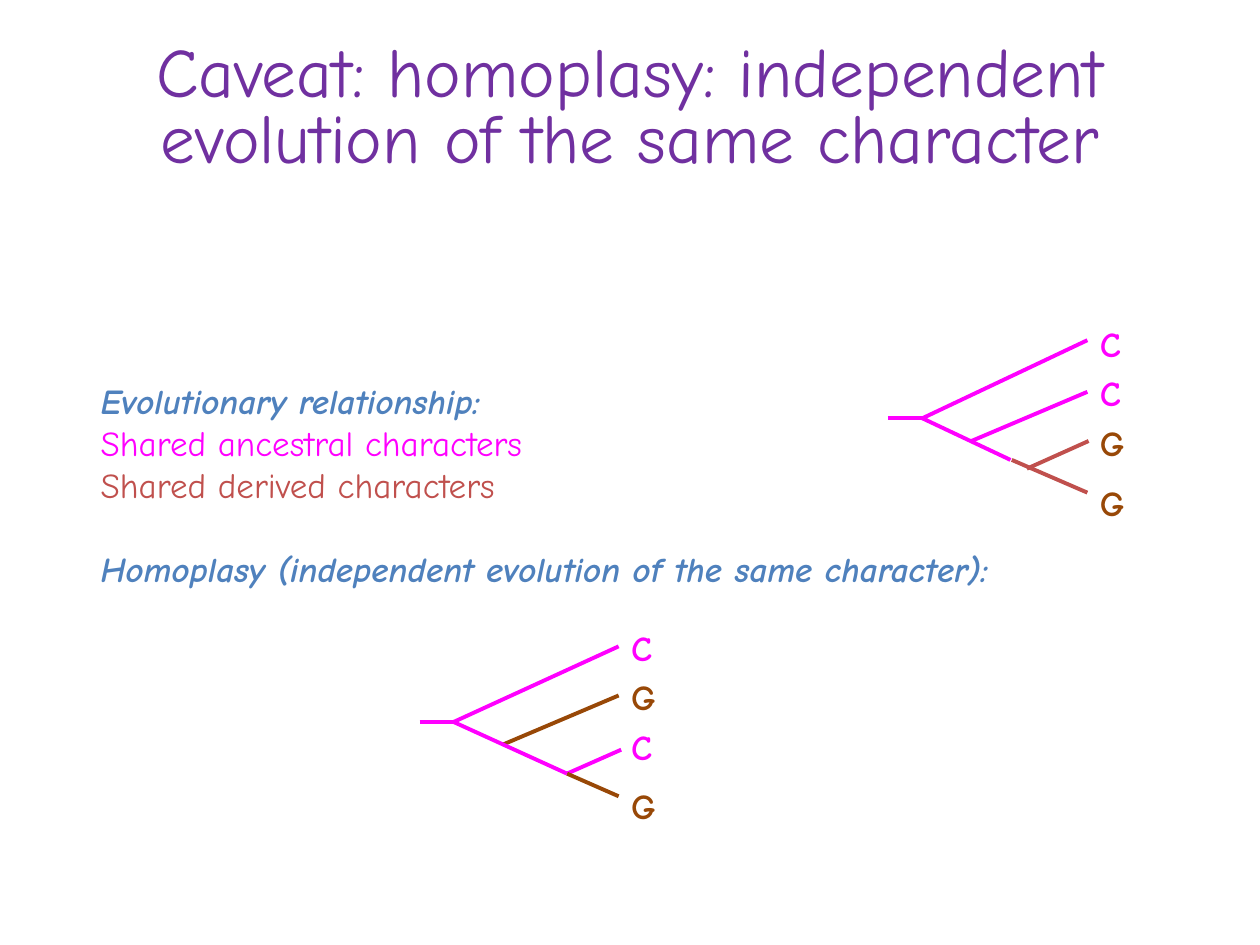
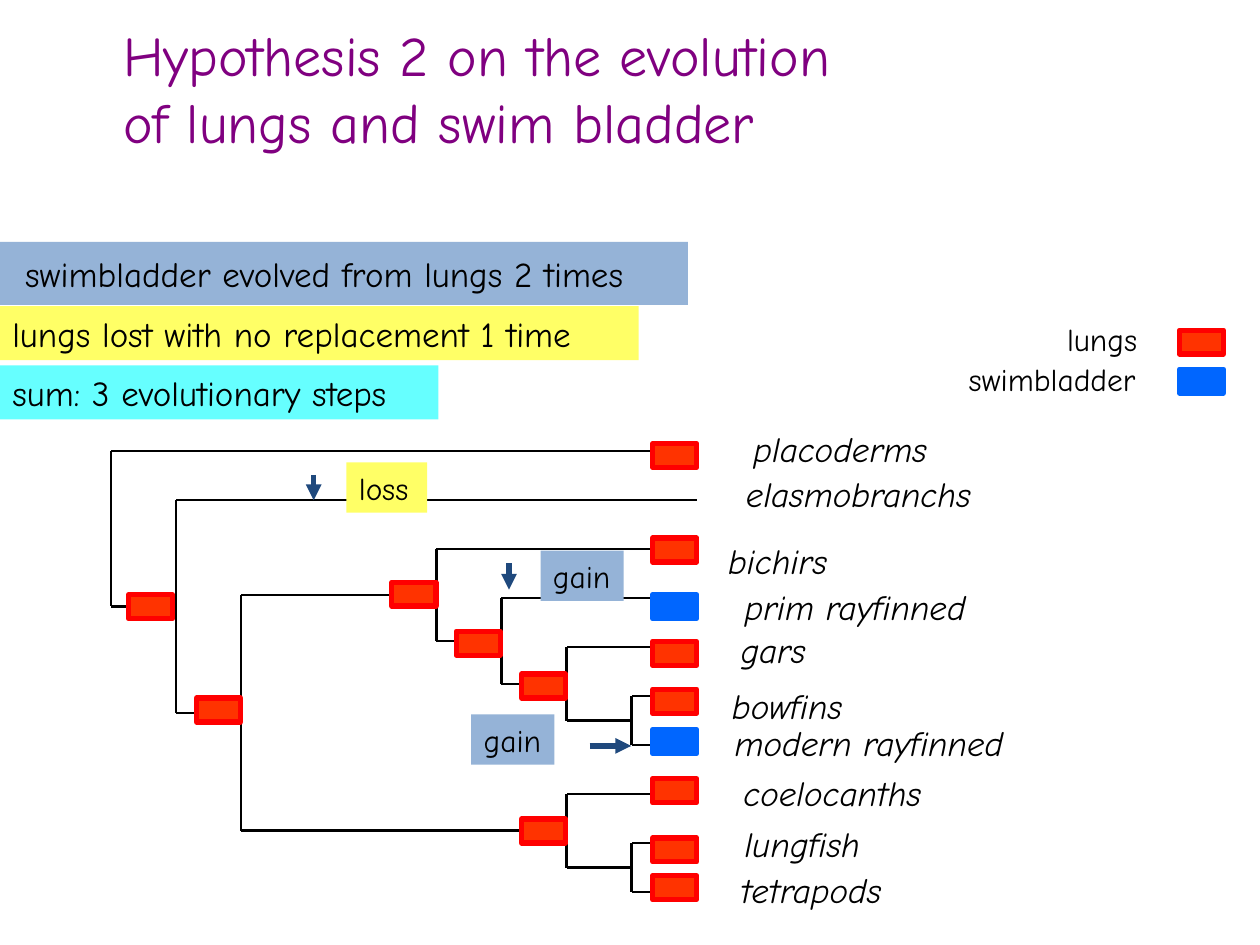
from lxml.etree import SubElement
from pptx import Presentation
from pptx.dml.color import RGBColor
from pptx.enum.shapes import MSO_CONNECTOR, MSO_SHAPE
from pptx.enum.text import MSO_ANCHOR, PP_ALIGN
from pptx.oxml.ns import qn
from pptx.util import Inches, Pt

FONT = "Comic Neue"
HUES = {
    "black": "000000", "blue": "4F81BD", "pink": "FF00FF", "rust": "C0504D",
    "brown": "984807", "purple": "7030A0", "plum": "800080", "navy": "1F497D",
    "lung": "FF3300", "edge": "FF0000", "swim": "0066FF",
    "steel": "95B3D7", "yellow": "FFFF66", "aqua": "66FFFF",
}


def hue(name):
    return RGBColor.from_string(HUES[name])


class Deck:
    def __init__(self):
        self.file = Presentation()
        self.file.slide_width = Inches(10)
        self.file.slide_height = Inches(7.5)

    def slide(self):
        self.shapes = self.file.slides.add_slide(self.file.slide_layouts[6]).shapes

    def style(self, para, size, color, bold=False, slant=False):
        for run in para.runs:
            font = run.font
            font.name, font.size = FONT, Pt(size)
            font.bold, font.italic = bold, slant
            font.color.rgb = hue(color)

    def text(self, box, words, size=20, color="black", bold=False, slant=False,
             wrap=False, inset=None, middle=False):
        frame = box.text_frame
        frame.text = words
        frame.word_wrap = wrap
        frame.vertical_anchor = MSO_ANCHOR.MIDDLE if middle else MSO_ANCHOR.TOP
        if inset is not None:
            frame.margin_left = frame.margin_right = Inches(inset)
            frame.margin_top = frame.margin_bottom = Inches(min(inset, 0.05))
        for para in frame.paragraphs:
            para.alignment = PP_ALIGN.LEFT
            self.style(para, size, color, bold, slant)
        return frame.paragraphs

    def label(self, x, y, w, h, words, **look):
        box = self.shapes.add_textbox(Inches(x), Inches(y), Inches(w), Inches(h))
        return self.text(box, words, **look)

    def rect(self, x, y, w, h, fill, edge=None):
        box = self.shapes.add_shape(
            MSO_SHAPE.RECTANGLE, Inches(x), Inches(y), Inches(w), Inches(h))
        box.shadow.inherit = False
        box.fill.solid()
        box.fill.fore_color.rgb = hue(fill)
        if edge:
            box.line.color.rgb = hue(edge)
            box.line.width = Pt(3)
        else:
            box.line.fill.background()
        return box

    def band(self, x, y, w, h, fill, words, **look):
        self.text(self.rect(x, y, w, h, fill), words, middle=True, **look)

    def mark(self, x, y, kind="lung"):
        self.rect(x, y, 0.35, 0.19, kind, "edge" if kind == "lung" else kind)

    def line(self, x1, y1, x2, y2, color="black", width=1.5, arrow=False):
        link = self.shapes.add_connector(
            MSO_CONNECTOR.STRAIGHT, Inches(x1), Inches(y1), Inches(x2), Inches(y2))
        link.line.color.rgb = hue(color)
        link.line.width = Pt(width)
        props = link._element.spPr
        if arrow:
            SubElement(props.find(qn("a:ln")), qn("a:tailEnd"), type="triangle")
        SubElement(props, qn("a:effectLst"))

    def bend(self, points, color, width):
        spots = [(Inches(x), Inches(y)) for x, y in points]
        pen = self.shapes.build_freeform(*spots[0], scale=1.0)
        pen.add_line_segments(spots[1:], close=False)
        path = pen.convert_to_shape()
        path.shadow.inherit = False
        path.fill.background()
        path.line.color.rgb = hue(color)
        path.line.width = Pt(width)

    def fork(self, x, y, limbs, tips):
        for x1, y1, x2, y2, color in limbs:
            self.line(x + x1, y + y1, x + x2, y + y2, color, 2.25)
        for drop, base in zip((-0.81, -0.42, -0.02, 0.45), tips):
            self.label(x + 1.58, y + drop, 0.39, 0.43, base, bold=True,
                       color="pink" if base == "C" else "brown")

    def clade(self, node, rows):
        if isinstance(node, str):
            return next(rows), 1
        kids = [self.clade(kid, rows) for kid in node]
        count = sum(size for _, size in kids)
        x = column(count)
        for y, size in kids:
            self.line(column(size), y, x, y)
        (top, _), (low, _) = kids
        self.line(x, top, x, low)
        return (top + low) / 2, count


TIPS = [
    ("placoderms", 5.98, 3.39, 1.46, 3.52, "lung"),
    ("elasmobranchs", 5.92, 3.75, 1.89, None, None),
    ("bichirs", 5.78, 4.28, 0.8, 4.27, "lung"),
    ("prim rayfinned", 5.91, 4.65, 1.91, 4.72, "swim"),
    ("gars", 5.88, 4.99, 0.56, 5.09, "lung"),
    ("bowfins", 5.81, 5.43, 1, 5.47, "lung"),
    ("modern rayfinned", 5.83, 5.73, 2.29, 5.79, "swim"),
    ("coelocanths", 5.9, 6.12, 1.52, 6.18, "lung"),
    ("lungfish", 5.91, 6.53, 1.03, 6.65, "lung"),
    ("tetrapods", 5.88, 6.89, 1.28, 6.95, "lung"),
]
RAYS = ("bichirs", ("prim rayfinned", ("gars", ("bowfins", "modern rayfinned"))))
LOBES = ("coelocanths", ("lungfish", "tetrapods"))
TREE = ("placoderms", ("elasmobranchs", (RAYS, LOBES)))


def column(count):
    return 0.88 + 4.65 * (len(TIPS) - count) / 9


def caveat(deck):
    deck.slide()
    notes = [
        ("Evolutionary relationship:", "blue", True),
        ("Shared ancestral characters", "pink", False),
        ("Shared derived characters", "rust", False),
        ("Homoplasy (independent evolution of the same character):", "blue", True),
    ]
    paras = deck.label(0.7, 2.96, 8.15, 1.79,
                       "\n".join(note[0] for note in notes), wrap=True)
    for para, (_, color, head) in zip(paras, notes):
        deck.style(para, 20, color, head, head)
    paras[-1].space_before = Pt(24)

    stem = (0, 0, 0.27, 0, "pink")
    deck.bend([(8.63, 2.7), (7.32, 3.32), (8.02, 3.65)], "pink", 2.25)
    deck.fork(7.05, 3.32, [
        stem,
        (0.66, 0.18, 1.58, -0.21, "pink"),
        (1.1, 0.4, 1.59, 0.18, "rust"),
        (0.98, 0.33, 1.58, 0.59, "rust"),
    ], "CCGG")
    deck.fork(3.33, 5.73, [
        (0.66, 0.18, 1.58, -0.21, "brown"),
        (1.17, 0.41, 1.6, 0.22, "pink"),
        stem,
        (1.17, 0.41, 1.58, 0.59, "brown"),
        (0.27, 0, 1.17, 0.41, "pink"),
        (0.27, 0, 1.58, -0.6, "pink"),
    ], "CGCG")

    title = deck.label(
        0.5, 0.3, 9, 1.25,
        "Caveat: homoplasy: independent evolution of the same character",
        size=39.6, color="purple", wrap=True)[0]
    title.alignment = PP_ALIGN.CENTER
    title.line_spacing = 0.8


def lungs(deck):
    deck.slide()
    deck.clade(TREE, (3.58 + 3.5 * row / 9 for row in range(len(TIPS))))
    for name, x, y, w, spot, kind in TIPS:
        deck.label(x, y, w, 0.33, name, slant=True, inset=0)
        if kind:
            deck.mark(5.18, spot, kind)
    for x, y in [(1.02, 4.72), (1.56, 5.54), (3.62, 5.01),
                 (4.14, 5.35), (4.14, 6.5), (3.11, 4.62)]:
        deck.mark(x, y)

    for word, fill, x, y, w, shaft in [
        ("loss", "yellow", 2.75, 3.67, 0.64, (2.49, 3.77, 2.49, 3.97)),
        ("gain", "steel", 3.74, 5.67, 0.66, (4.68, 5.92, 5.01, 5.92)),
        ("gain", "steel", 4.29, 4.37, 0.66, (4.04, 4.47, 4.04, 4.68)),
    ]:
        deck.line(*shaft, "navy", 3, arrow=True)
        deck.band(x, y, w, 0.4, fill, word, size=18)

    for word, kind, x, y, w, spot in [
        ("lungs", "lung", 8.37, 2.49, 0.78, 2.62),
        ("swimbladder", "swim", 7.59, 2.81, 1.54, 2.93),
    ]:
        deck.mark(9.36, spot, kind)
        deck.label(x, y, w, 0.4, word, size=18, middle=True)

    for words, fill, y, w, h, inset in [
        ("swimbladder evolved from lungs 2 times", "steel", 1.92, 5.46, 0.5, 0.2),
        ("lungs lost with no replacement 1 time", "yellow", 2.43, 5.07, 0.43, 0.1),
        ("sum: 3 evolutionary steps", "aqua", 2.9, 3.48, 0.43, 0.1),
    ]:
        deck.band(0, y, w, h, fill, words, wrap=True, inset=inset)

    deck.label(0.88, 0.11, 8.4, 1.17,
               "Hypothesis 2 on the evolution\nof lungs and swim bladder",
               size=32, color="plum", wrap=True, middle=True)


def main():
    deck = Deck()
    caveat(deck)
    lungs(deck)
    deck.file.save("out.pptx")


if __name__ == "__main__":
    main()
